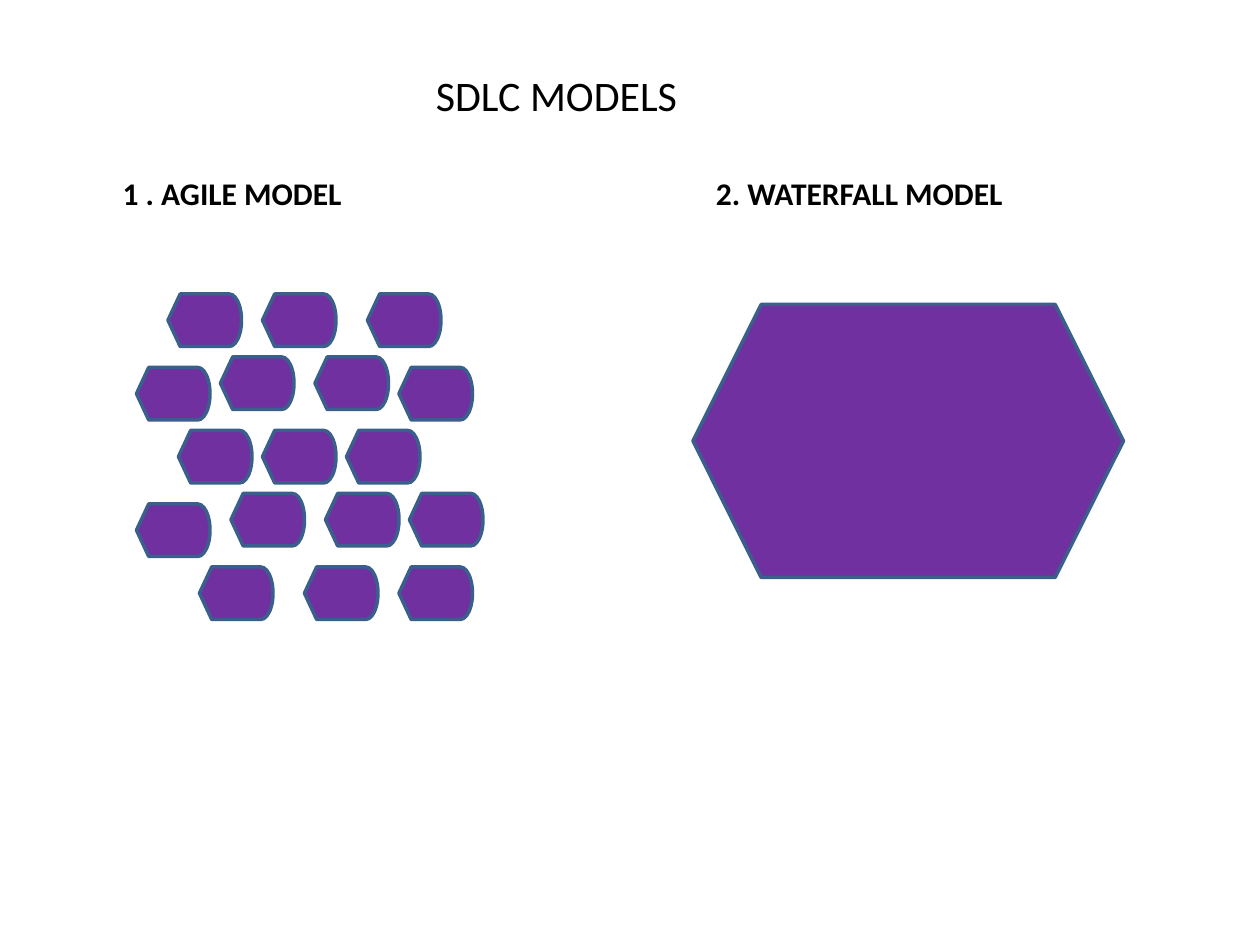
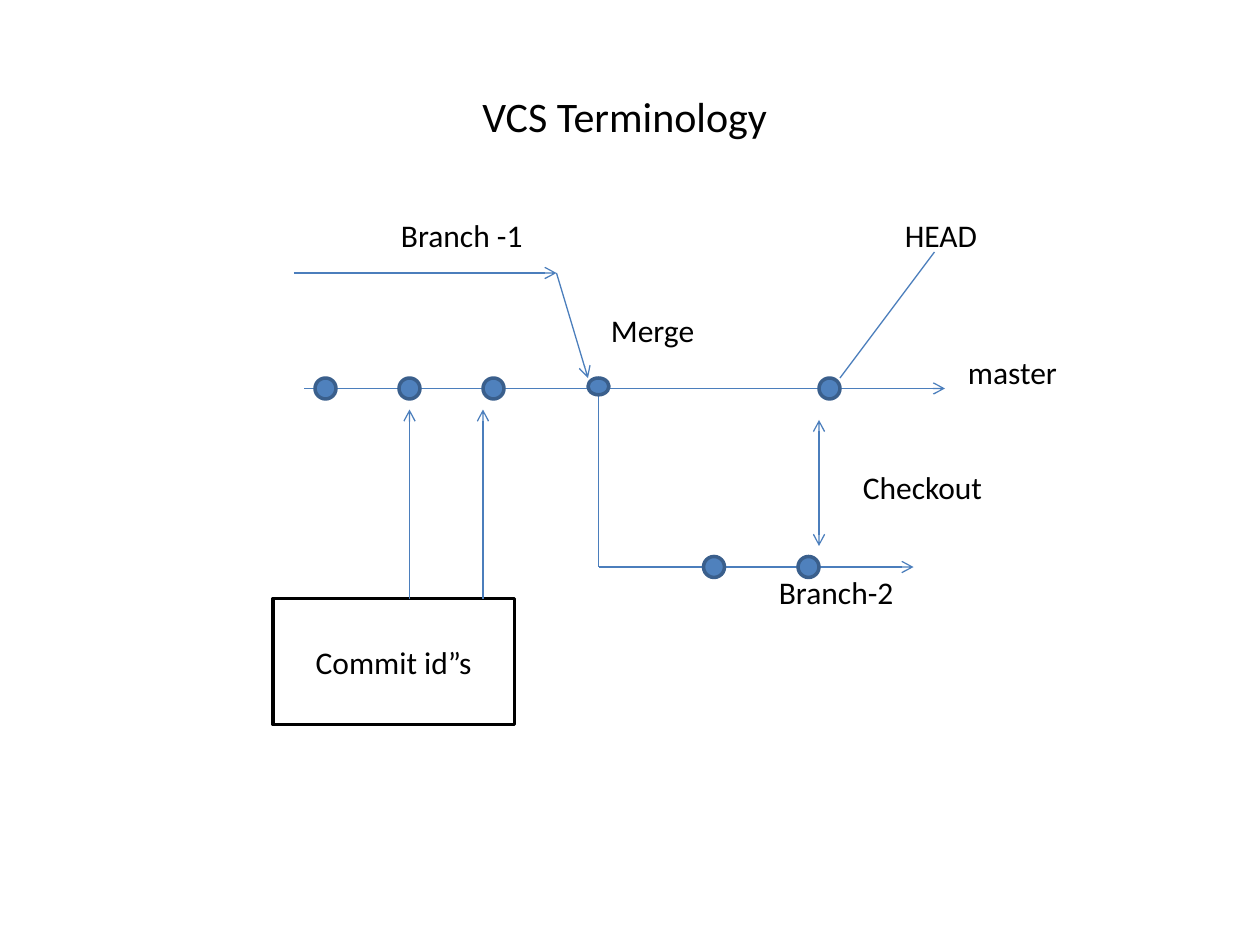
"""Build two slides: SDLC models and a diagram of VCS terminology."""
from typing import NamedTuple

from lxml import etree
from pptx import Presentation
from pptx import util as u
from pptx.dml.color import RGBColor
from pptx.enum import shapes, text
from pptx.oxml.ns import qn

COLUMNS, ROWS = 120, 90
WIDTH, HEIGHT = u.Inches(10), u.Inches(7.5)
FONT = "Calibri"
COLORS = {
    "text": "000000",
    "paper": "FFFFFF",
    "model": "7030A0",
    "commit": "4F81BD",
    "outline": "3A5F8C",
    "branch": "4B7EBC",
}
KIND = shapes.MSO_SHAPE


class Area(NamedTuple):
    column: float
    row: float
    columns: float
    rows: float


class Label(NamedTuple):
    words: str
    area: Area


class Arrow(NamedTuple):
    start: tuple[float, float]
    end: tuple[float, float]
    ends: tuple[str, ...] = ("tailEnd",)


TILE_ROWS = {
    28: (16, 25, 35),
    34: (21, 30),
    35: (13, 38),
    41: (17, 25, 33),
    47: (22, 31, 39),
    48: (13,),
    54: (19, 29, 38),
}
MODELS = [
    Label("1 . AGILE MODEL", Area(10.5, 16, 40, 5)),
    Label("2. WATERFALL MODEL", Area(67, 16, 45, 5)),
]

MASTER_ROW, BRANCH_1_ROW, BRANCH_2_ROW = 37, 26, 54
COMMIT_BOX = Area(26, 57, 23, 12)
ARROWS = [
    Arrow((29, MASTER_ROW), (90, MASTER_ROW)),
    Arrow((57, MASTER_ROW), (57, BRANCH_2_ROW), ()),
    Arrow((57, BRANCH_2_ROW), (87, BRANCH_2_ROW)),
    Arrow((28, BRANCH_1_ROW), (53, BRANCH_1_ROW)),
    Arrow((53, BRANCH_1_ROW), (56, 36)),
    Arrow((78, 40), (78, 52), ("headEnd", "tailEnd")),
    Arrow((80, 36), (89, 24), ()),
    *(Arrow((column, COMMIT_BOX.row), (column, 39)) for column in (39, 46)),
]
COMMITS = [
    *(Area(column, MASTER_ROW - 1, 2, 2) for column in (30, 38, 46, 78)),
    *(Area(column, BRANCH_2_ROW - 1, 2, 2) for column in (67, 76)),
    Area(56, MASTER_ROW - 1, 2, 1.6),
]
TERMS = [
    Label("Branch -1", Area(37, 20, 21, 5)),
    Label("HEAD", Area(85, 20, 12, 5)),
    Label("Merge", Area(57, 29, 12, 5)),
    Label("master", Area(91, 33, 12, 5)),
    Label("Checkout", Area(81, 44, 19, 5)),
    Label("Branch-2", Area(73, 54, 25, 5)),
]


def x(column: float) -> int:
    """Turn a grid column into a length."""
    return round(WIDTH * column / COLUMNS)


def y(row: float) -> int:
    """Turn a grid row into a length."""
    return round(HEIGHT * row / ROWS)


def place(area: Area) -> tuple[int, int, int, int]:
    """Turn a grid area into left, top, width and height."""
    return x(area.column), y(area.row), x(area.columns), y(area.rows)


def color(name: str) -> RGBColor:
    """Look up a named colour."""
    return RGBColor.from_string(COLORS[name])


def write(box, words: str, *, size: float = 18, bold: bool = False,
          centered: bool = False) -> None:
    """Set the text of a box and its format."""
    frame = box.text_frame
    frame.word_wrap = True
    frame.vertical_anchor = text.MSO_ANCHOR.MIDDLE if centered else text.MSO_ANCHOR.TOP
    para = frame.paragraphs[0]
    para.alignment = text.PP_ALIGN.CENTER if centered else text.PP_ALIGN.LEFT
    span = para.add_run()
    span.text = words
    span.font.name = FONT
    span.font.size = u.Pt(size)
    span.font.bold = bold
    span.font.color.rgb = color("text")


def add_label(page, label: Label, **style) -> None:
    """Add a text box."""
    write(page.shapes.add_textbox(*place(label.area)), label.words, **style)


def add_title(page, title: Label) -> None:
    """Add a slide title."""
    add_label(page, title, size=24, centered=True)


def add_figure(page, kind: KIND, area: Area, fill: str, line: str = "outline"):
    """Add a filled and outlined preset shape."""
    figure = page.shapes.add_shape(kind, *place(area))
    figure.shadow.inherit = False
    figure.fill.solid()
    figure.fill.fore_color.rgb = color(fill)
    figure.line.color.rgb = color(line)
    figure.line.width = u.Pt(2)
    return figure


def add_arrow(page, arrow: Arrow) -> None:
    """Add a thin line with its arrowheads."""
    link = page.shapes.add_connector(
        shapes.MSO_CONNECTOR.STRAIGHT,
        x(arrow.start[0]), y(arrow.start[1]), x(arrow.end[0]), y(arrow.end[1]))
    link.line.color.rgb = color("branch")
    link.line.width = u.Pt(0.75)
    properties = link.line._get_or_add_ln()
    for end in arrow.ends:
        etree.SubElement(properties, qn(f"a:{end}"), type="arrow")
    etree.SubElement(link._element.spPr, qn("a:effectLst"))


def build_models(page) -> None:
    """Draw the agile tiles beside the single waterfall block."""
    add_title(page, Label("SDLC MODELS", Area(25, 4, 56, 10)))
    for model in MODELS:
        add_label(page, model, bold=True)
    for row, columns in TILE_ROWS.items():
        for column in columns:
            add_figure(page, KIND.FLOWCHART_DISPLAY, Area(column, row, 7, 5), "model")
    add_figure(page, KIND.HEXAGON, Area(66, 29, 41, 26), "model")


def build_terminology(page) -> None:
    """Draw the branches, their commits and the terms."""
    add_title(page, Label("VCS Terminology", Area(32, 6, 55, 10)))
    commit_box = add_figure(page, KIND.RECTANGLE, COMMIT_BOX, "paper", "text")
    write(commit_box, "Commit id”s", centered=True)
    for arrow in ARROWS:
        add_arrow(page, arrow)
    for commit in COMMITS:
        add_figure(page, KIND.FLOWCHART_CONNECTOR, commit, "commit")
    for term in TERMS:
        add_label(page, term)


def main() -> None:
    """Build and save the deck."""
    deck = Presentation()
    deck.slide_width, deck.slide_height = WIDTH, HEIGHT
    for build in (build_models, build_terminology):
        build(deck.slides.add_slide(deck.slide_layouts[6]))
    deck.save("out.pptx")


if __name__ == "__main__":
    main()
